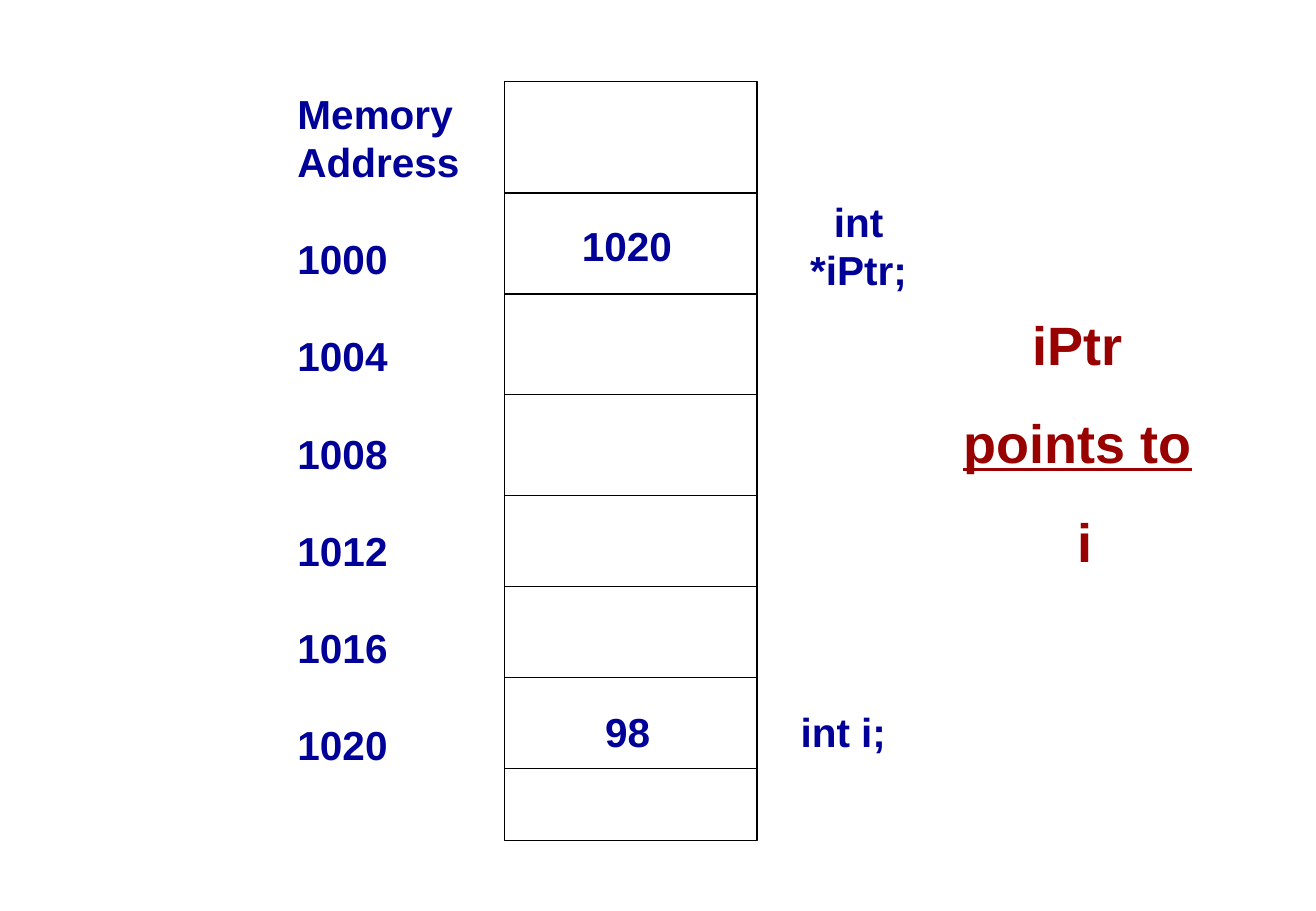
"""Build a memory diagram slide showing a pointer and the integer it points to."""
from pptx import Presentation
from pptx.dml.color import RGBColor
from pptx.enum.shapes import MSO_SHAPE
from pptx.enum.text import MSO_ANCHOR, PP_ALIGN
from pptx.util import Inches, Pt

NAVY, MAROON, BLACK = "000099", "990000", "000000"
HEADING = ["Memory", "Address"]
ADDRESSES = ["1000", "1004", "1008", "1012", "1016", "1020"]
LABELS = [
    ("int *iPtr;", 6.32, 1.77, 1.49),
    ("int i;", 6.49, 5.77, 0.9),
    ("1020", 4.69, 1.77, 0.94),
    ("98", 4.88, 5.77, 0.57),
]
STATEMENT = ["iPtr ", "points to ", "i"]
UNDERLINED = "points to"
MEMORY_LEFT, MEMORY_WIDTH = 4.15, 2.08
MEMORY_TOP, MEMORY_HEIGHT = 0.67, 6.25
FIRST_CELL_TOP = 1.59
CELL_HEIGHTS = [0.83] * 3 + [0.75] * 3
LINE_RATIO = 1.2


def rgb(color):
    return RGBColor.from_string(color)


def style_run(r, size, color):
    r.font.name = "Arial"
    r.font.size = Pt(size)
    r.font.bold = True
    r.font.color.rgb = rgb(color)


def add_text(s, lines, box, size=24, color=NAVY, align=PP_ALIGN.CENTER,
             anchor=MSO_ANCHOR.MIDDLE, gaps=None):
    tf = s.shapes.add_textbox(*map(Inches, box)).text_frame
    tf.word_wrap = align == PP_ALIGN.LEFT
    tf.vertical_anchor = anchor
    tf.text = "\n".join(lines)
    for p, gap in zip(tf.paragraphs, gaps or [0] * len(lines)):
        p.alignment = align
        p.line_spacing = Pt(size * LINE_RATIO)
        p.space_before = Pt(gap)
        for r in p.runs:
            style_run(r, size, color)
    return tf


def add_cell(s, top, height):
    sp = s.shapes.add_shape(MSO_SHAPE.RECTANGLE, Inches(MEMORY_LEFT), Inches(top),
                            Inches(MEMORY_WIDTH), Inches(height))
    sp.shadow.inherit = False
    sp.fill.background()
    sp.line.color.rgb = rgb(BLACK)
    sp.line.width = Pt(0.75)


def main():
    prs = Presentation()
    prs.slide_width, prs.slide_height = Inches(10.83), Inches(7.5)
    s = prs.slides.add_slide(prs.slide_layouts[6])

    address_gaps = [0] * len(HEADING) + [24 * LINE_RATIO] * len(ADDRESSES)
    add_text(s, HEADING + ADDRESSES, (2.35, 0.68, 1.57, 6.1), align=PP_ALIGN.LEFT,
             anchor=MSO_ANCHOR.TOP, gaps=address_gaps)

    add_cell(s, MEMORY_TOP, MEMORY_HEIGHT)
    top = FIRST_CELL_TOP
    for height in CELL_HEIGHTS:
        add_cell(s, top, height)
        top += height

    for text, left, label_top, width in LABELS:
        add_text(s, [text], (left, label_top, width, 0.5))

    tf = add_text(s, STATEMENT, (7.83, 2.51, 2.2, 2.26), 32, MAROON, gaps=[0, 20, 20])
    p = tf.paragraphs[1]
    p.runs[0].text = UNDERLINED
    p.runs[0].font.underline = True
    r = p.add_run()
    r.text = " "
    style_run(r, 32, MAROON)

    prs.save("out.pptx")


if __name__ == "__main__":
    main()
